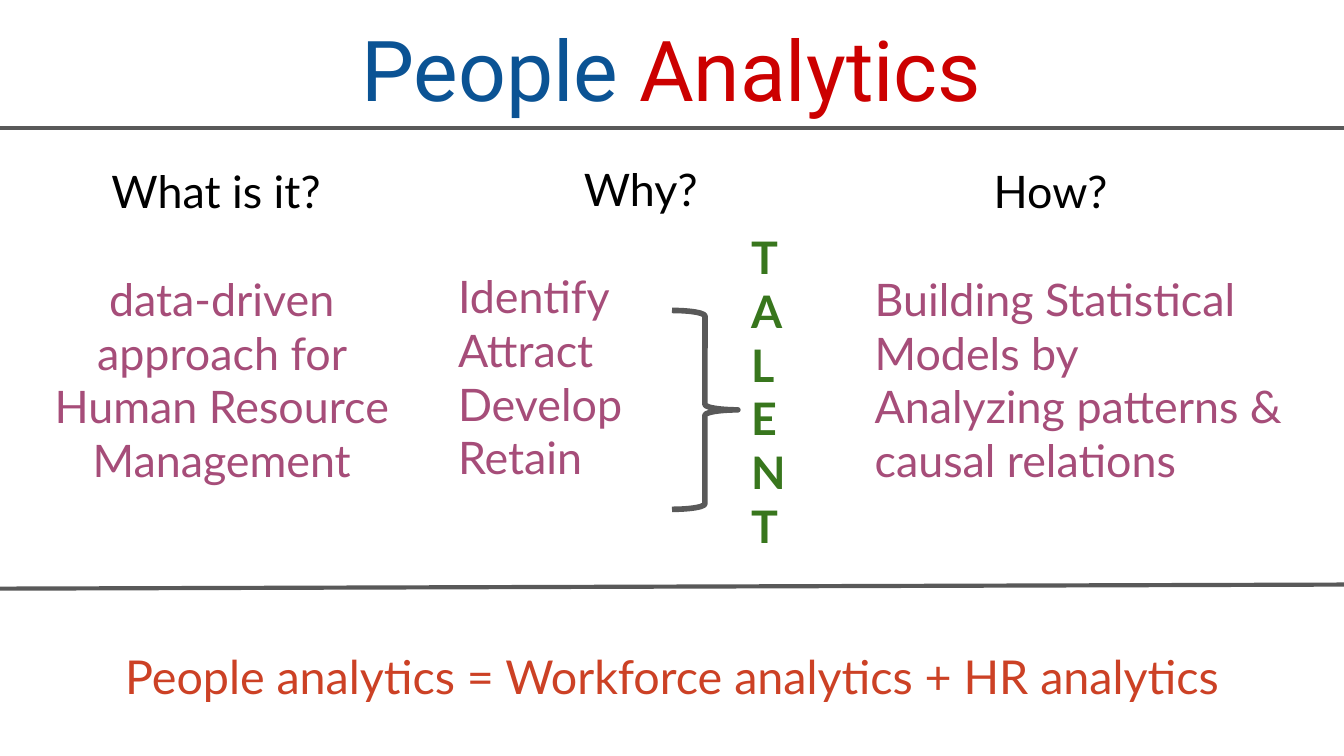
from dataclasses import dataclass

from lxml.etree import SubElement
from pptx import Presentation
from pptx.dml.color import RGBColor
from pptx.enum.shapes import MSO_CONNECTOR, MSO_SHAPE
from pptx.enum.text import MSO_ANCHOR, MSO_AUTO_SIZE, PP_ALIGN
from pptx.oxml.ns import qn
from pptx.slide import Slide
from pptx.text.text import TextFrame, _Paragraph
from pptx.util import Inches, Pt


@dataclass(frozen=True)
class Theme:
    title_font: str = "Roboto"
    body_font: str = "Lato"
    title_size: float = 45
    body_size: float = 24
    summary_size: float = 25
    heading_gap: float = 28.8  # one line of body text
    blue: str = "0B5394"
    red: str = "CC0000"
    black: str = "000000"
    purple: str = "A64D79"
    green: str = "38761D"
    orange: str = "CC4125"
    grey: str = "595959"


@dataclass(frozen=True)
class Box:
    left: float
    top: float
    width: float
    height: float

    def lengths(self) -> tuple:
        return tuple(Inches(n) for n in (self.left, self.top, self.width, self.height))


@dataclass(frozen=True)
class Column:
    box: Box
    heading: str
    body: tuple[str, ...]
    align: PP_ALIGN = PP_ALIGN.LEFT
    indent: float = 0


@dataclass(frozen=True)
class Rule:
    start: tuple[float, float]
    end: tuple[float, float]


THEME = Theme()
TITLE_BOX = Box(2.02, 0.03, 5.95, 1.08)
BRACE_BOX = Box(5, 2.31, 0.49, 1.48)
TALENT_BOX = Box(5.49, 1.61, 0.61, 2.48)
SUMMARY_BOX = Box(0, 4.44, 10, 1.18)
RULES = (Rule((-0.01, 0.95), (10.01, 0.95)), Rule((0, 4.38), (10, 4.35)))
COLUMNS = (
    Column(Box(0.07, 1.12, 3.16, 2.66), "What is it? ",
           ("data-driven approach for Human Resource Management",), PP_ALIGN.CENTER),
    Column(Box(3.23, 1.1, 3.16, 3.19), "Why? ",
           ("Identify", "Attract", "Develop", "Retain"), indent=0.08),
    Column(Box(5.91, 1.12, 3.9, 3.01), "How? ",
           ("Building Statistical Models by", "Analyzing patterns & causal relations"),
           indent=0.5),
)


def color(value: str) -> RGBColor:
    return RGBColor.from_string(value)


def prepare_frame(frame: TextFrame, anchor: MSO_ANCHOR = MSO_ANCHOR.TOP) -> None:
    frame.word_wrap = True
    frame.auto_size = MSO_AUTO_SIZE.NONE
    frame.vertical_anchor = anchor
    frame.margin_left = frame.margin_right = Inches(0.1)
    frame.margin_top = frame.margin_bottom = Inches(0.1)


def add_text(slide: Slide, box: Box, text: str,
             anchor: MSO_ANCHOR = MSO_ANCHOR.TOP) -> TextFrame:
    frame = slide.shapes.add_textbox(*box.lengths()).text_frame
    prepare_frame(frame, anchor)
    frame.text = text
    return frame


def format_paragraph(paragraph: _Paragraph, ink: str, align: PP_ALIGN = PP_ALIGN.LEFT,
                     size: float = THEME.body_size, bold: bool = False) -> None:
    paragraph.alignment = align
    for run in paragraph.runs:
        run.font.name = THEME.body_font
        run.font.size = Pt(size)
        run.font.bold = bold
        run.font.color.rgb = color(ink)


def add_title(slide: Slide) -> None:
    title = slide.shapes.title
    title.left, title.top, title.width, title.height = TITLE_BOX.lengths()
    prepare_frame(title.text_frame)
    line = title.text_frame.paragraphs[0]
    line.alignment = PP_ALIGN.CENTER
    for word, ink in (("People ", THEME.blue), ("Analytics", THEME.red)):
        run = line.add_run()
        run.text = word
        run.font.name = THEME.title_font
        run.font.size = Pt(THEME.title_size)
        run.font.color.rgb = color(ink)


def add_column(slide: Slide, column: Column) -> None:
    frame = add_text(slide, column.box, "\n".join((column.heading, *column.body)))
    heading, *body = frame.paragraphs
    format_paragraph(heading, THEME.black, PP_ALIGN.CENTER)
    for paragraph in body:
        format_paragraph(paragraph, THEME.purple, column.align)
        properties = paragraph._p.get_or_add_pPr()
        properties.set("marL", str(Inches(column.indent)))
        properties.set("indent", "0")
    body[0].space_before = Pt(THEME.heading_gap)


def add_rule(slide: Slide, rule: Rule) -> None:
    line = slide.shapes.add_connector(
        MSO_CONNECTOR.STRAIGHT, *(Inches(n) for n in (*rule.start, *rule.end)))
    line.line.color.rgb = color(THEME.grey)
    line.line.width = Pt(2.25)
    SubElement(line._element.spPr, qn("a:effectLst"))


def add_brace(slide: Slide) -> None:
    brace = slide.shapes.add_shape(MSO_SHAPE.RIGHT_BRACE, *BRACE_BOX.lengths())
    brace.shadow.inherit = False
    brace.fill.background()
    brace.line.color.rgb = color(THEME.grey)
    brace.line.width = Pt(3)


def main() -> None:
    deck = Presentation()
    # Widescreen, 16:9
    deck.slide_width = Inches(10)
    deck.slide_height = Inches(10) * 9 // 16
    slide = deck.slides.add_slide(deck.slide_layouts[5])

    # Title and dividing rules
    add_title(slide)
    for rule in RULES:
        add_rule(slide, rule)

    # Three questions
    for column in COLUMNS:
        add_column(slide, column)

    # Brace leading to the vertical word
    add_brace(slide)
    for letter in add_text(slide, TALENT_BOX, "\n".join("TALENT")).paragraphs:
        format_paragraph(letter, THEME.green, bold=True)

    # Summary line
    summary = add_text(slide, SUMMARY_BOX,
                       "People analytics = Workforce analytics + HR analytics",
                       MSO_ANCHOR.MIDDLE)
    format_paragraph(summary.paragraphs[0], THEME.orange, PP_ALIGN.CENTER,
                     THEME.summary_size)

    deck.save("out.pptx")


if __name__ == "__main__":
    main()
